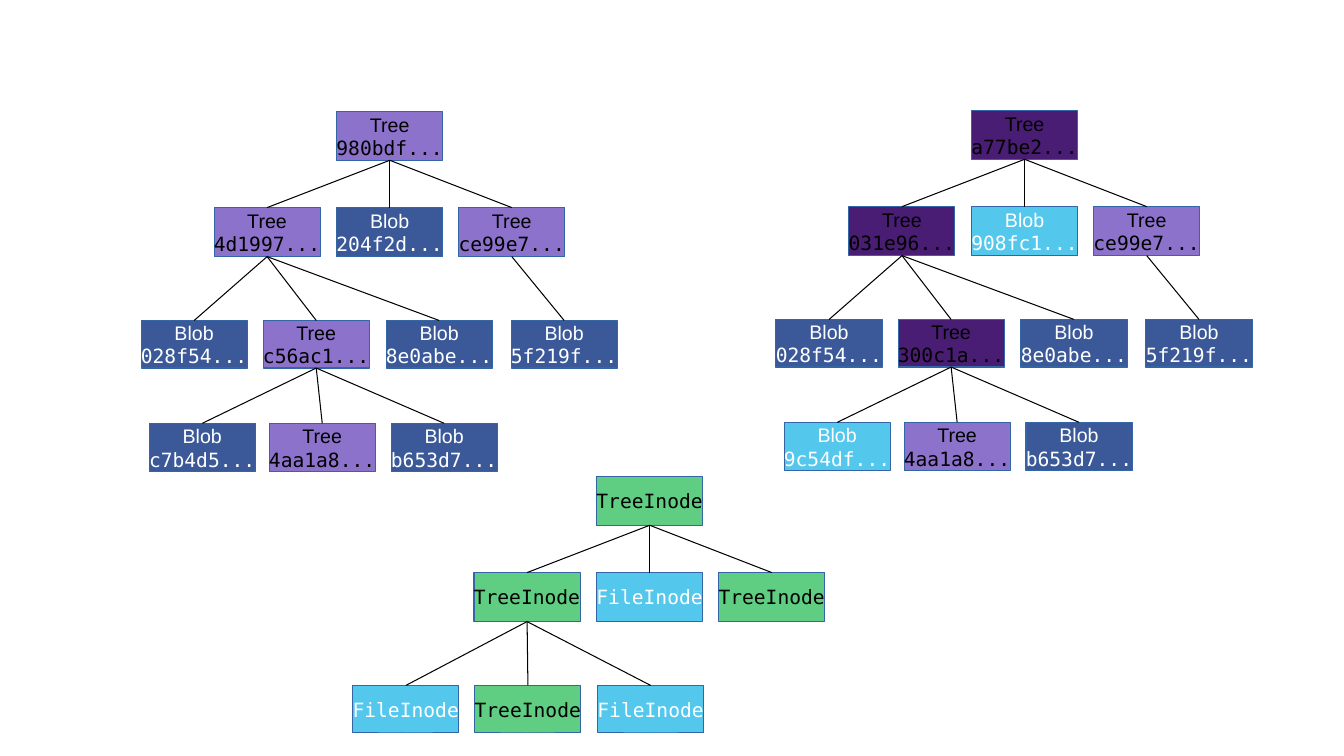
from lxml.etree import SubElement
from pptx import Presentation
from pptx.dml.color import RGBColor
from pptx.enum.shapes import MSO_CONNECTOR, MSO_SHAPE
from pptx.enum.text import MSO_ANCHOR, PP_ALIGN
from pptx.oxml.ns import qn
from pptx.util import Pt

# Kind of node: (heading above the label, fill, text colour)
KINDS = {
    "tree": ("Tree", "8C72CB", "000000"),
    "changed tree": ("Tree", "491D74", "000000"),
    "blob": ("Blob", "3B5998", "FFFFFF"),
    "changed blob": ("Blob", "54C7EC", "FFFFFF"),
    "tree inode": (None, "60CE82", "000000"),
    "file inode": (None, "54C7EC", "FFFFFF"),
}

# Level of a tree: (distance below the root's top, box height)
LEVELS = [(0, 34.6), (68.4, 35), (149, 34), (222.5, 34.6)]

# Place in a tree: (index of the parent, level, offset from the root's left)
TOP_PLACES = [(None, 0, 0), (0, 1, -87.6), (0, 1, 0), (0, 1, 87.2)]
OBJECT_PLACES = TOP_PLACES + [
    (1, 2, -139.7), (1, 2, -52.5), (1, 2, 35.3), (3, 2, 124.6),
    (5, 3, -133.9), (5, 3, -48.2), (5, 3, 38.9),
]
INODE_PLACES = TOP_PLACES + [(1, 2, -174.2), (1, 2, -87), (1, 2, 0.7)]

OLD_OBJECTS = [
    ("tree", "980bdf..."),
    ("tree", "4d1997..."), ("blob", "204f2d..."), ("tree", "ce99e7..."),
    ("blob", "028f54..."), ("tree", "c56ac1..."), ("blob", "8e0abe..."),
    ("blob", "5f219f..."),
    ("blob", "c7b4d5..."), ("tree", "4aa1a8..."), ("blob", "b653d7..."),
]
# The new tree differs from the old one only at these places
CHANGED_OBJECTS = {
    0: ("changed tree", "a77be2..."),
    1: ("changed tree", "031e96..."),
    2: ("changed blob", "908fc1..."),
    5: ("changed tree", "300c1a..."),
    8: ("changed blob", "9c54df..."),
}
NEW_OBJECTS = [CHANGED_OBJECTS.get(index, node)
               for index, node in enumerate(OLD_OBJECTS)]

TREE_INODE = ("tree inode", "TreeInode")
FILE_INODE = ("file inode", "FileInode")
INODES = [TREE_INODE, TREE_INODE, FILE_INODE, TREE_INODE,
          FILE_INODE, TREE_INODE, FILE_INODE]


def colour(hex_string):
    return RGBColor.from_string(hex_string)


class TreeDiagram:
    heading_font = "Arial"
    label_font = "DejaVu Sans Mono"
    font_size = 14
    box_width = 75.8
    line_width = 0.75
    border = "3465A4"
    edge_colour = "000000"
    top_site, bottom_site = 0, 2

    def __init__(self, slide):
        self.slide = slide

    def box(self, left, top, height, kind, label):
        heading, fill, text_colour = KINDS[kind]
        shape = self.slide.shapes.add_shape(
            MSO_SHAPE.RECTANGLE, Pt(left), Pt(top),
            Pt(self.box_width), Pt(height))
        shape.shadow.inherit = False
        shape.fill.solid()
        shape.fill.fore_color.rgb = colour(fill)
        shape.line.color.rgb = colour(self.border)
        shape.line.width = Pt(self.line_width)

        text_frame = shape.text_frame
        text_frame.word_wrap = False
        text_frame.vertical_anchor = MSO_ANCHOR.MIDDLE
        text_frame.text = f"{heading}\n{label}" if heading else label
        for paragraph in text_frame.paragraphs:
            paragraph.alignment = PP_ALIGN.CENTER
            font = paragraph.runs[0].font
            font.name = self.label_font
            font.size = Pt(self.font_size)
            font.color.rgb = colour(text_colour)
        if heading:
            text_frame.paragraphs[0].runs[0].font.name = self.heading_font
        return shape

    def edge(self, parent, child):
        connector = self.slide.shapes.add_connector(
            MSO_CONNECTOR.STRAIGHT, 0, 0, 0, 0)
        connector.begin_connect(parent, self.bottom_site)
        connector.end_connect(child, self.top_site)
        connector.line.color.rgb = colour(self.edge_colour)
        connector.line.width = Pt(self.line_width)
        SubElement(connector._element.spPr, qn("a:effectLst"))

    def tree(self, left, top, places, nodes):
        boxes = []
        for (parent, level, offset), (kind, label) in zip(places, nodes):
            drop, height = LEVELS[level]
            shape = self.box(left + offset, top + drop, height, kind, label)
            boxes.append(shape)
            if parent is not None:
                self.edge(boxes[parent], shape)


def main():
    presentation = Presentation()
    presentation.slide_width = Pt(960)
    presentation.slide_height = Pt(540)
    blank_layout = presentation.slide_layouts[6]
    diagram = TreeDiagram(presentation.slides.add_slide(blank_layout))

    # Source control objects before and after the change
    diagram.tree(240.5, 79.9, OBJECT_PLACES, OLD_OBJECTS)
    diagram.tree(694, 79.2, OBJECT_PLACES, NEW_OBJECTS)

    # Inodes
    diagram.tree(426.2, 340.6, INODE_PLACES, INODES)

    presentation.save("out.pptx")


if __name__ == "__main__":
    main()
